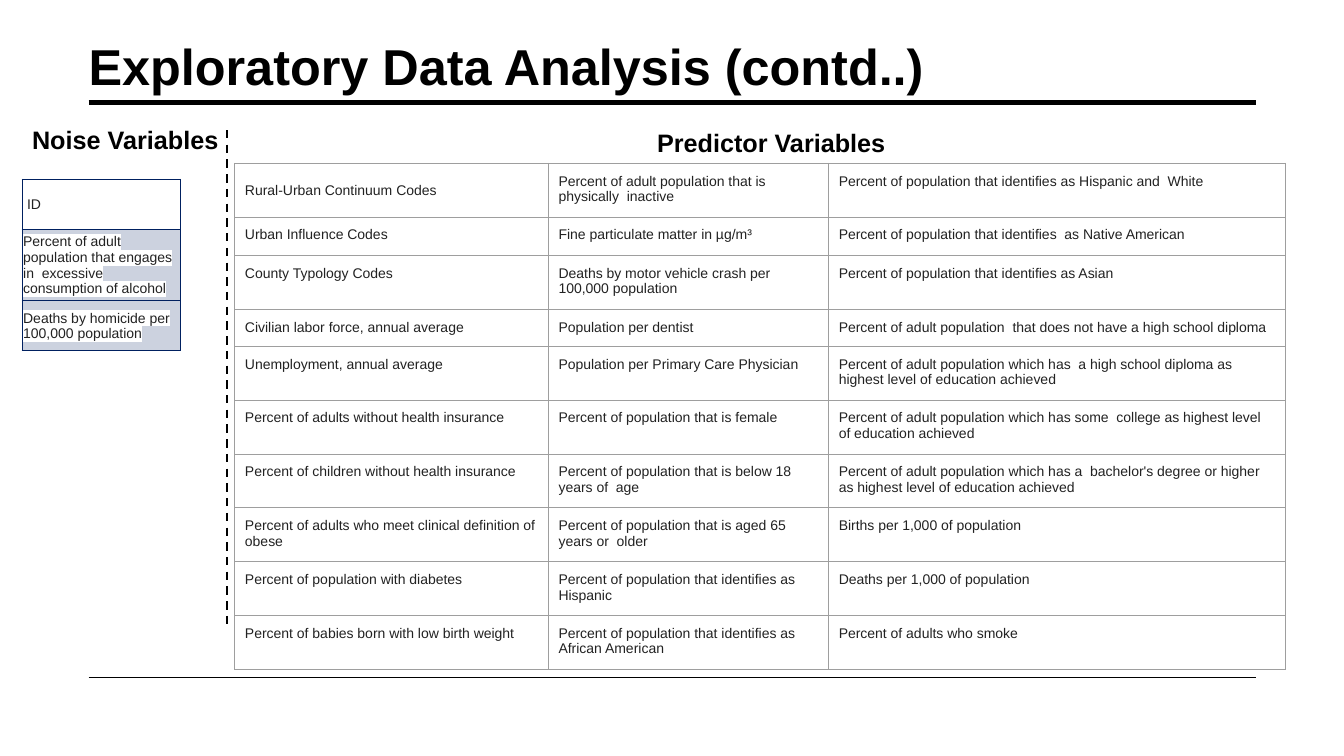
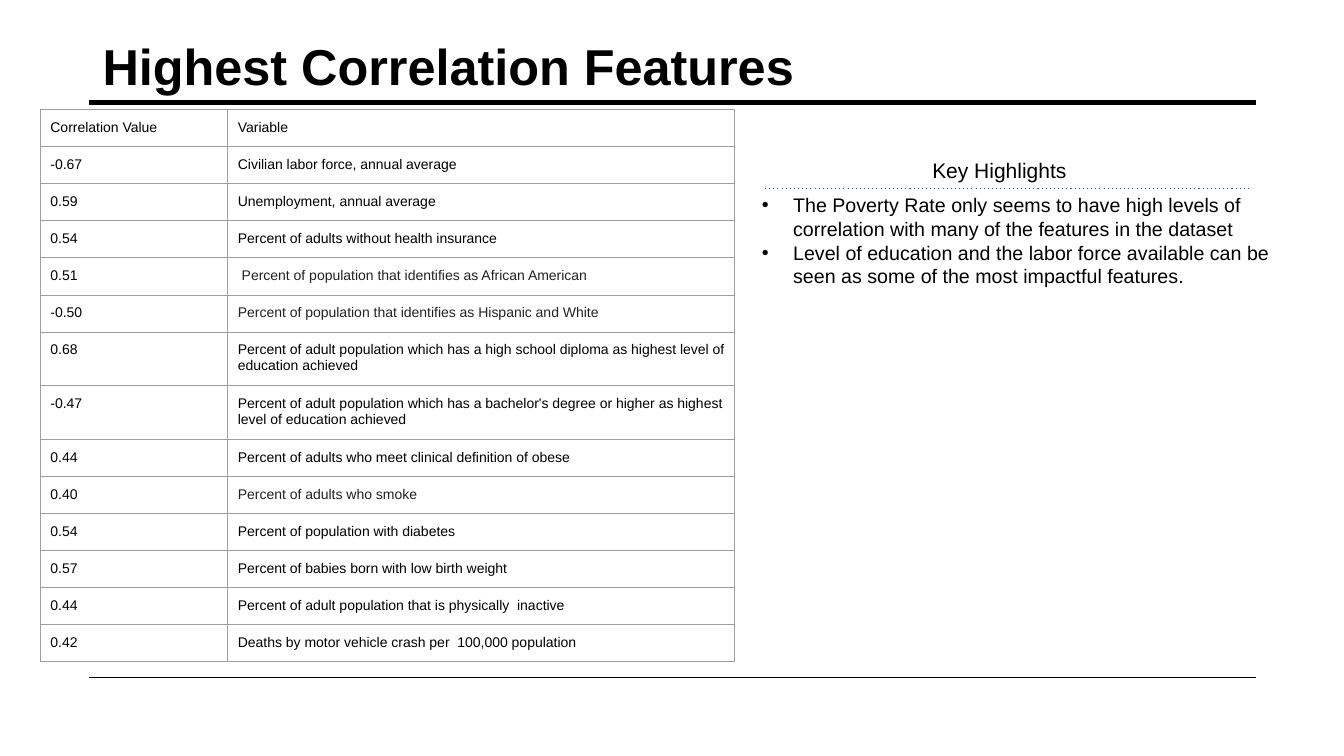
from dataclasses import dataclass

from lxml import etree
from pptx import Presentation
from pptx.dml.color import RGBColor
from pptx.enum.shapes import MSO_CONNECTOR, MSO_SHAPE
from pptx.enum.text import MSO_ANCHOR, MSO_AUTO_SIZE
from pptx.oxml.ns import qn
from pptx.util import Inches, Pt

STRAIGHT = MSO_CONNECTOR.STRAIGHT
RECT = MSO_SHAPE.RECTANGLE
TOP, MIDDLE, BOTTOM = MSO_ANCHOR.TOP, MSO_ANCHOR.MIDDLE, MSO_ANCHOR.BOTTOM
GROW = MSO_AUTO_SIZE.SHAPE_TO_FIT_TEXT
WIDE, HIGH = Inches(13.33), Inches(7.5)


@dataclass(frozen=True)
class Theme:
    font: str = "Arial"
    ink: str = "000000"
    soft: str = "222222"
    paper: str = "FFFFFF"
    navy: str = "002060"
    blue: str = "0070C0"
    grey: str = "9E9E9E"
    title: int = 36
    head: int = 18
    label: int = 15
    body: int = 14
    small: int = 10


THEME = Theme()

NOISE = [
    [" ID"],
    ["Percent of adult population that engages in  excessive consumption of alcohol"],
    ["Deaths by homicide per 100,000 population"],
]
FACTORS = [
    ["Rural-Urban Continuum Codes",
     "Percent of adult population that is physically  inactive",
     "Percent of population that identifies as Hispanic and  White"],
    ["Urban Influence Codes",
     "Fine particulate matter in µg/m³",
     "Percent of population that identifies  as Native American"],
    ["County Typology Codes",
     "Deaths by motor vehicle crash per  100,000 population",
     "Percent of population that identifies as Asian"],
    ["Civilian labor force, annual average",
     "Population per dentist",
     "Percent of adult population  that does not have a high school diploma"],
    ["Unemployment, annual average",
     "Population per Primary Care Physician",
     "Percent of adult population which has  a high school diploma as highest "
     "level of education achieved"],
    ["Percent of adults without health insurance",
     "Percent of population that is female",
     "Percent of adult population which has some  college as highest level of "
     "education achieved"],
    ["Percent of children without health insurance",
     "Percent of population that is below 18 years of  age",
     "Percent of adult population which has a  bachelor's degree or higher as "
     "highest level of education achieved"],
    ["Percent of adults who meet clinical definition of obese",
     "Percent of population that is aged 65 years or  older",
     "Births per 1,000 of population"],
    ["Percent of population with diabetes",
     "Percent of population that identifies as Hispanic",
     "Deaths per 1,000 of population"],
    ["Percent of babies born with low birth weight",
     "Percent of population that identifies as  African American",
     "Percent of adults who smoke"],
]
SCORES = [
    ["Correlation Value", "Variable"],
    ["-0.67", "Civilian labor force, annual average"],
    ["0.59", "Unemployment, annual average"],
    ["0.54", "Percent of adults without health insurance"],
    ["0.51", " Percent of population that identifies as African American"],
    ["-0.50", "Percent of population that identifies as Hispanic and White"],
    ["0.68", "Percent of adult population which has a high school diploma as "
             "highest level of education achieved"],
    ["-0.47", "Percent of adult population which has a bachelor's degree or higher "
              "as highest level of education achieved"],
    ["0.44", "Percent of adults who meet clinical definition of obese"],
    ["0.40", "Percent of adults who smoke"],
    ["0.54", "Percent of population with diabetes"],
    ["0.57", "Percent of babies born with low birth weight"],
    ["0.44", "Percent of adult population that is physically  inactive"],
    ["0.42", "Deaths by motor vehicle crash per  100,000 population"],
]
MARKED = {SCORES[i][1] for i in (4, 5, 9)}
POINTS = [
    "The Poverty Rate only seems to have high levels of correlation with many of "
    "the features in the dataset",
    "Level of education and the labor force available can be seen as some of the "
    "most impactful features.",
]


def across(share):
    """Turn a percentage of the slide's width into a length."""
    return round(WIDE * share / 100)


def down(share):
    """Turn a percentage of the slide's height into a length."""
    return round(HIGH * share / 100)


def area(x, y, w, h):
    return across(x), down(y), across(w), down(h)


def node(root, tag, **attrs):
    return etree.SubElement(root, qn(tag), attrs)


def write(frame, *lines, size=THEME.small, bold=False, mark=False, dots=False):
    """Fill a frame, one paragraph a line; mark gives soft text on a highlight."""
    frame.word_wrap = True
    for i, line in enumerate(lines):
        para = frame.add_paragraph() if i else frame.paragraphs[0]
        run = para.add_run()
        run.text = line
        font = run.font
        font.name, font.size, font.bold = THEME.font, Pt(size), bold
        font.color.rgb = RGBColor.from_string(THEME.soft if mark else THEME.ink)
        if mark:
            glow = etree.Element(qn("a:highlight"))
            node(glow, "a:srgbClr", val=THEME.paper)
            run._r.get_or_add_rPr().find(qn("a:solidFill")).addnext(glow)
        if dots:
            props = para._p.get_or_add_pPr()
            props.set("marL", str(Inches(0.31)))
            props.set("indent", str(Inches(-0.31)))
            node(node(props, "a:buClr"), "a:srgbClr", val=THEME.ink)
            node(props, "a:buFont", typeface=THEME.font)
            node(props, "a:buChar", char="•")


def text(shapes, place, *lines, anchor=TOP, grow=True, **style):
    frame = shapes.add_textbox(*area(*place)).text_frame
    write(frame, *lines, **style)
    frame.vertical_anchor = anchor
    if grow:
        frame.auto_size = GROW


def rule(shapes, start, end, color, width, dash=None):
    line = shapes.add_connector(STRAIGHT, across(start[0]), down(start[1]),
                                across(end[0]), down(end[1]))
    line.line.color.rgb = RGBColor.from_string(color)
    line.line.width = Pt(width)
    props = line._element.spPr
    if dash:
        node(props.find(qn("a:ln")), "a:prstDash", val=dash)
    node(props, "a:effectLst")


def label(shapes, place, words):
    box = shapes.add_shape(RECT, *area(*place))
    box.shadow.inherit = False
    box.fill.solid()
    box.fill.fore_color.rgb = RGBColor.from_string(THEME.paper)
    box.line.fill.background()
    write(box.text_frame, words, size=THEME.label)
    box.text_frame.paragraphs[0].alignment = 1
    box.text_frame.auto_size = GROW


def edge(cell, color, width):
    props = cell._tc.get_or_add_tcPr()
    for side in "LRTB":
        line = node(props, f"a:ln{side}", w=str(Pt(width)))
        node(node(line, "a:solidFill"), "a:srgbClr", val=color)


def tint(cell, color, alpha=100):
    cell.fill.solid()
    cell.fill.fore_color.rgb = RGBColor.from_string(color)
    if alpha < 100:
        shade = cell._tc.tcPr.find(qn("a:solidFill"))[0]
        node(shade, "a:alpha", val=str(alpha * 1000))


def grid(shapes, x, y, cols, rows, data, color=THEME.grey, width=0.75,
         pad=(0.1, 0.1), marked=None):
    """Draw a table; only the marked texts are soft, or all when none are named."""
    table = shapes.add_table(len(rows), len(cols),
                             *area(x, y, sum(cols), sum(rows))).table
    table.first_row = table.horz_banding = False
    for col, share in zip(table.columns, cols):
        col.width = across(share)
    for row, share, words in zip(table.rows, rows, data):
        row.height = down(share)
        for cell, word in zip(row.cells, words):
            cell.margin_left = cell.margin_right = cell.margin_top = Inches(pad[0])
            cell.margin_bottom = Inches(pad[1])
            edge(cell, color, width)
            cell.fill.background()
            write(cell.text_frame, word, mark=marked is None or word in marked)
    return table


def page(deck, title):
    """Add a slide with the shared title and its two rules."""
    shapes = deck.slides.add_slide(deck.slide_layouts[6]).shapes
    for y, width in ((13.6, 3.5), (89.6, 1)):
        rule(shapes, (6.6, y), (93.45, y), THEME.ink, width)
    text(shapes, (5.85, 4.13, 82.5, 9.2), title, size=THEME.title, bold=True,
         anchor=BOTTOM, grow=False)
    return shapes


def explore(deck):
    shapes = page(deck, "Exploratory Data Analysis (contd..)")
    noise = grid(shapes, 1.65, 23.73, [11.78], [6.67, 9.33, 6.67], NOISE,
                 color=THEME.navy, width=1, pad=(0.01, 0))
    for i, cell in enumerate(noise.iter_cells()):
        cell.vertical_anchor = MIDDLE
        tint(cell, *((THEME.navy, 20) if i else (THEME.paper,)))
    for place, words in (((1.65, 15.73, 15.83, 5.33), "Noise Variables"),
                         ((48.15, 16.13, 22.28, 5.33), "Predictor Variables")):
        text(shapes, place, words, size=THEME.head, bold=True)
    rule(shapes, (16.88, 17.2), (16.88, 82.8), THEME.ink, 1.5, "dash")
    rows = [6.13, 5.07, 6, 4.67, 6.4, 6.27, 6.27, 6.67, 6.27, 6.13]
    table = grid(shapes, 17.48, 21.6, [23.33, 20.85, 33.98], rows, FACTORS)
    table.cell(0, 0).vertical_anchor = MIDDLE


def relate(deck):
    shapes = page(deck, " Highest Correlation Features")
    text(shapes, (55.95, 24.93, 39.38, 17.07), *POINTS, size=THEME.body, dots=True)
    group = shapes.add_group_shape().shapes
    rule(group, (56.92, 24.93), (93, 24.93), THEME.blue, 0.75, "dot")
    label(group, (68.63, 20.13, 12.6, 4.67), "Key Highlights")
    grid(shapes, 3, 14.53, [13.95, 37.73], [4.8] * len(SCORES), SCORES,
         marked=MARKED)


def main():
    deck = Presentation()
    deck.slide_width, deck.slide_height = WIDE, HIGH
    explore(deck)
    relate(deck)
    deck.save("out.pptx")


if __name__ == "__main__":
    main()
